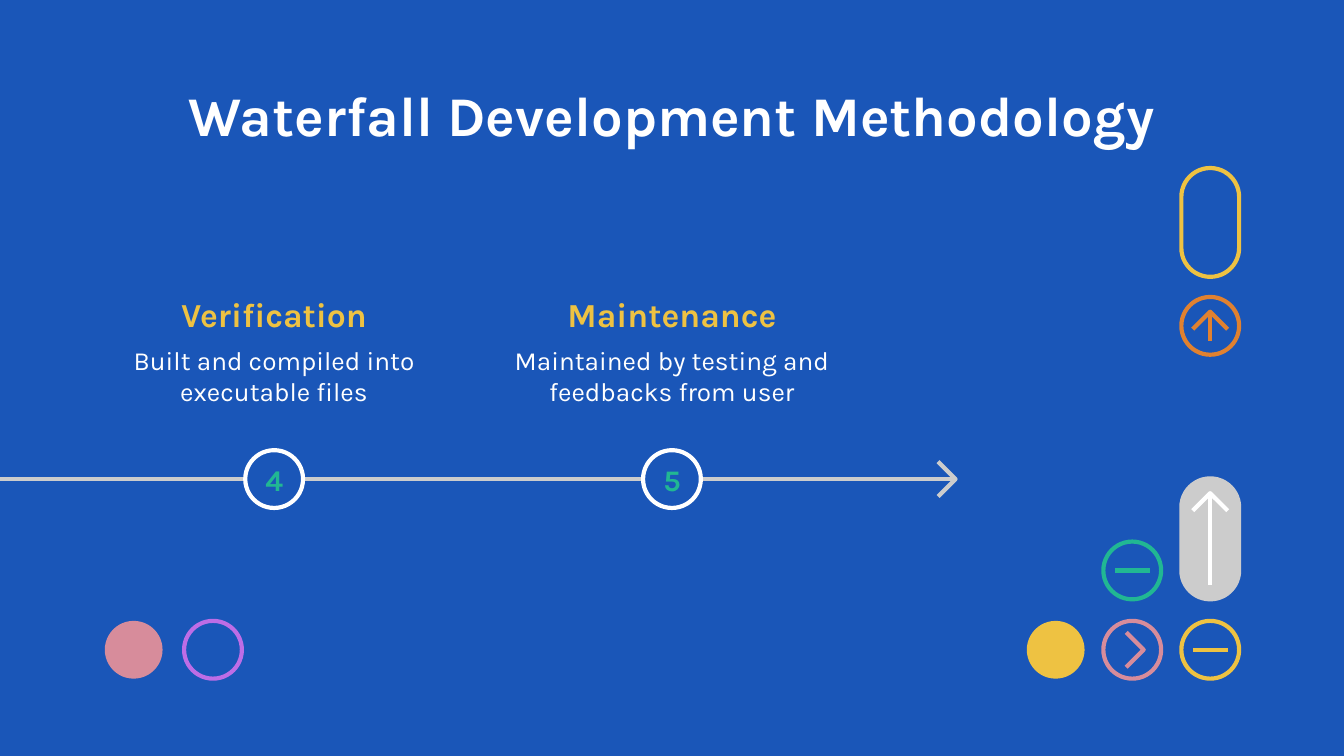
from pptx import Presentation
from pptx.dml.color import RGBColor
from pptx.enum.shapes import MSO_CONNECTOR, MSO_SHAPE
from pptx.enum.text import MSO_ANCHOR, PP_ALIGN
from pptx.oxml.ns import qn
from pptx.util import Inches, Pt
from lxml import etree

COLORS = {
    "blue": "1A56B8", "white": "FFFFFF", "grey": "CCCCCC", "yellow": "EEC242",
    "green": "21B793", "pink": "D78C9B", "purple": "BD6DE6", "orange": "E08130",
}
FONT = "Karla"
LINE_WIDTH = 2.25
DOT = 0.43  # diameter of every circle and width of every pill
HALF = DOT / 2
WING = 0.13  # reach of a chevron's arms from its tip

STEPS = [
    ("4", "Verification", "Built and compiled into executable files"),
    ("5", "Maintenance", "Maintained by testing and feedbacks from user"),
]


def rgb(name):
    return RGBColor.from_string(COLORS[name])


def style_line(line, color):
    line.color.rgb = rgb(color)
    line.width = Pt(LINE_WIDTH)


def add_text(slide, box, text, size, color, bold=False):
    tf = slide.shapes.add_textbox(*map(Inches, box)).text_frame
    tf.word_wrap = True
    tf.vertical_anchor = MSO_ANCHOR.MIDDLE
    tf.margin_left = tf.margin_right = tf.margin_top = tf.margin_bottom = 0
    tf.text = text
    p = tf.paragraphs[0]
    p.alignment = PP_ALIGN.CENTER
    font = p.runs[0].font
    font.name, font.size, font.bold = FONT, Pt(size), bold
    font.color.rgb = rgb(color)


def add_pill(slide, x, y, line=None, fill=None, height=DOT):
    """Draw a circle, or an upright pill when it is taller than wide."""
    kind = MSO_SHAPE.OVAL if height == DOT else MSO_SHAPE.ROUNDED_RECTANGLE
    sp = slide.shapes.add_shape(kind, *map(Inches, (x, y, DOT, height)))
    sp.shadow.inherit = False
    if height != DOT:
        sp.adjustments[0] = 0.5
    if fill:
        sp.fill.solid()
        sp.fill.fore_color.rgb = rgb(fill)
    else:
        sp.fill.background()
    if line:
        style_line(sp.line, line)
    else:
        sp.line.fill.background()


def add_line(slide, x1, y1, x2, y2, color):
    c = slide.shapes.add_connector(
        MSO_CONNECTOR.STRAIGHT, *map(Inches, (x1, y1, x2, y2)))
    style_line(c.line, color)
    etree.SubElement(c._element.spPr, qn("a:effectLst"))


def add_chevron(slide, x, y, color, up=False):
    """Draw an open arrowhead with its tip at x, y, pointing right or up."""
    if up:
        points = [(x - WING, y + WING), (x, y), (x + WING, y + WING)]
    else:
        points = [(x - WING, y - WING), (x, y), (x - WING, y + WING)]
    start, *rest = [(Inches(px), Inches(py)) for px, py in points]
    builder = slide.shapes.build_freeform(*start, scale=1.0)
    builder.add_line_segments(rest, close=False)
    sp = builder.convert_to_shape()
    sp.shadow.inherit = False
    sp.fill.background()
    style_line(sp.line, color)


def add_up_arrow(slide, x, y, length, color):
    add_chevron(slide, x, y, color, up=True)
    add_line(slide, x, y, x, y + length, color)


def add_minus_button(slide, x, y, color):
    add_pill(slide, x, y, color)
    mid = y + HALF
    add_line(slide, x + HALF - WING, mid, x + HALF + WING, mid, color)


def add_step(slide, x, y, width, step):
    number, heading, body = step
    add_text(slide, (x, y, width, 0.39), heading, 18, "yellow", bold=True)
    add_text(slide, (x, y + 0.39, width, 0.53), body, 14, "white")
    dot_x = x + width / 2 - HALF
    add_pill(slide, dot_x, y + 1.21, "white", "blue")
    add_text(slide, (dot_x, y + 1.23, DOT, 0.39), number, 16, "green", bold=True)


def add_timeline(slide, x, y, end):
    step_width, pitch = 2.52, 2.96
    axis = y + 1.21 + HALF
    add_line(slide, -0.05, axis, end, axis, "grey")
    add_chevron(slide, end, axis, "grey")
    for i, step in enumerate(STEPS):
        add_step(slide, x + i * pitch, y, step_width, step)


def add_left_dots(slide, x, y):
    add_pill(slide, x, y, fill="pink")
    add_pill(slide, x + 0.59, y, "purple")


def add_right_buttons(slide, x, y):
    """Stack buttons in three columns, the last one rising to the top at y."""
    middle, last = x + 0.57, x + 1.15
    center = last + HALF
    bottom = y + 3.37

    add_pill(slide, last, y, "yellow", height=0.81)
    add_pill(slide, last, y + 0.96, "orange")
    add_up_arrow(slide, center, y + 1.07, 0.22, "orange")
    add_pill(slide, last, y + 2.31, "grey", "grey", height=0.9)
    add_up_arrow(slide, center, y + 2.42, 0.68, "white")
    add_minus_button(slide, last, bottom, "yellow")

    add_minus_button(slide, middle, y + 2.78, "green")
    add_pill(slide, middle, bottom, "pink")
    add_chevron(slide, middle + 0.3, bottom + HALF, "pink")
    add_pill(slide, x, bottom, fill="yellow")


def main():
    prs = Presentation()
    prs.slide_width = Inches(10)
    prs.slide_height = prs.slide_width * 9 // 16
    slide = prs.slides.add_slide(prs.slide_layouts[6])
    slide.background.fill.solid()
    slide.background.fill.fore_color.rgb = rgb("blue")

    add_text(slide, (0.78, 0.59, 8.44, 0.52),
             "Waterfall Development Methodology", 30, "white", bold=True)
    add_timeline(slide, 0.78, 2.14, end=7.11)
    add_left_dots(slide, 0.78, 4.62)
    add_right_buttons(slide, 7.64, 1.25)
    prs.save("out.pptx")


if __name__ == "__main__":
    main()
